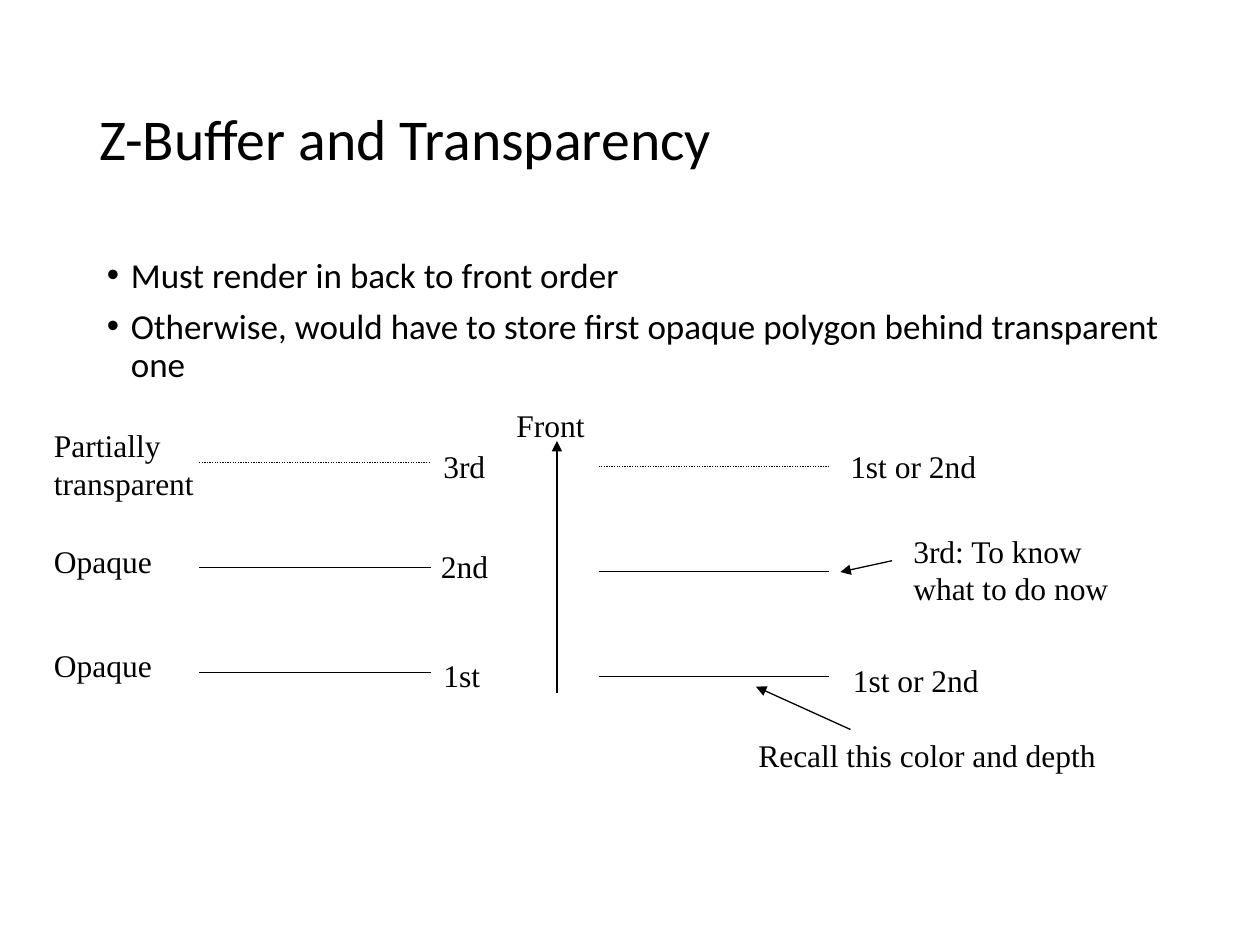
from typing import NamedTuple

from pptx import Presentation, util as u
from pptx.dml.color import RGBColor
from pptx.enum import dml, shapes, text
from pptx.oxml.ns import qn
from lxml import etree

BLACK = RGBColor(0, 0, 0)
WHITE = RGBColor(255, 255, 255)
HEADING_FONT = "Calibri"
LABEL_FONT = "Times New Roman"


class Label(NamedTuple):
    """A diagram caption with its box in inches."""
    words: str
    left: float
    top: float
    width: float
    height: float = 0.4
    wrap: bool = False


class Stroke(NamedTuple):
    """A straight line between two points in inches."""
    x1: float
    y1: float
    x2: float
    y2: float
    dotted: bool = False
    arrow: bool = False


def add_text(slide, label: Label, font: str, size: float):
    """Add a text box and return its text frame."""
    box = slide.shapes.add_textbox(*map(u.Inches, label[1:5]))
    frame = box.text_frame
    frame.word_wrap = label.wrap
    frame.text = label.words
    for paragraph in frame.paragraphs:
        paragraph.font.name = font
        paragraph.font.size = u.Pt(size)
        paragraph.font.color.rgb = BLACK
    return frame


def add_bullets(frame) -> None:
    """Give every paragraph a hanging bullet."""
    for paragraph in frame.paragraphs:
        paragraph.line_spacing = 0.9
        paragraph.space_before = u.Pt(7.5)
        props = paragraph._p.get_or_add_pPr()
        indent = u.Inches(0.19)
        props.set("marL", str(indent))
        props.set("indent", str(-indent))
        bullet_font = etree.Element(qn("a:buFont"), typeface="Arial")
        bullet = etree.Element(qn("a:buChar"), char="•")
        props.find(qn("a:spcBef")).addnext(bullet_font)
        bullet_font.addnext(bullet)


def add_stroke(slide, stroke: Stroke) -> None:
    """Draw a thin line, dotted or arrowed on request."""
    line = slide.shapes.add_connector(
        shapes.MSO_CONNECTOR.STRAIGHT, *map(u.Inches, stroke[:4]))
    line.line.color.rgb = BLACK
    line.line.width = u.Pt(0.75)
    if stroke.dotted:
        line.line.dash_style = dml.MSO_LINE.ROUND_DOT
    props = line._element.spPr
    if stroke.arrow:
        etree.SubElement(props.find(qn("a:ln")), qn("a:tailEnd"), type="triangle")
    etree.SubElement(props, qn("a:effectLst"))


def polygons(left: float, right: float, top: float) -> list[Stroke]:
    """Return three stacked polygons, the front one transparent."""
    gap = 0.835
    return [Stroke(left, top + row * gap, right, top + row * gap, dotted=row == 0)
            for row in range(3)]


LABELS = [
    Label("Partially transparent", 0.33, 3.33, 1.42, 0.7, True),
    Label("Opaque", 0.33, 4.25, 1.42, wrap=True),
    Label("Opaque", 0.33, 5.08, 1.42, wrap=True),
    Label("3rd", 3.42, 3.5, 0.53),
    Label("2nd", 3.4, 4.29, 0.58),
    Label("1st", 3.42, 5.16, 0.49),
    Label("Front", 4, 3.17, 0.74),
    Label("1st or 2nd", 6.65, 3.5, 1.2),
    Label("1st or 2nd", 6.67, 5.2, 1.2),
    Label("Recall this color and depth", 5.92, 5.79, 2.88),
    Label("3rd: To know what to do now", 7.15, 4.17, 2.02, 0.7, True),
]
ARROWS = [
    Stroke(4.42, 5.5, 4.42, 3.5, arrow=True),
    Stroke(6.75, 5.79, 6, 5.45, arrow=True),
    Stroke(7.08, 4.45, 6.67, 4.54, arrow=True),
]
TITLE = Label("Z-Buffer and Transparency", 0.69, 0.4, 8.62, 1.45, True)
BODY = Label(
    "Must render in back to front order\n"
    "Otherwise, would have to store first opaque polygon behind transparent one",
    0.75, 2, 8.67, 1.47, True)


def main() -> None:
    """Build and save the slide."""
    deck = Presentation()
    deck.slide_width, deck.slide_height = u.Inches(10), u.Inches(7.5)
    slide = deck.slides.add_slide(deck.slide_layouts[6])
    slide.background.fill.solid()
    slide.background.fill.fore_color.rgb = WHITE

    title = add_text(slide, TITLE, HEADING_FONT, 33)
    title.vertical_anchor = text.MSO_ANCHOR.MIDDLE
    title.paragraphs[0].line_spacing = 0.9
    add_bullets(add_text(slide, BODY, HEADING_FONT, 20))

    for stroke in polygons(1.58, 3.42, 3.67) + polygons(4.75, 6.58, 3.7) + ARROWS:
        add_stroke(slide, stroke)
    for label in LABELS:
        frame = add_text(slide, label, LABEL_FONT, 18)
        frame.auto_size = text.MSO_AUTO_SIZE.SHAPE_TO_FIT_TEXT
    deck.save("out.pptx")


main()
